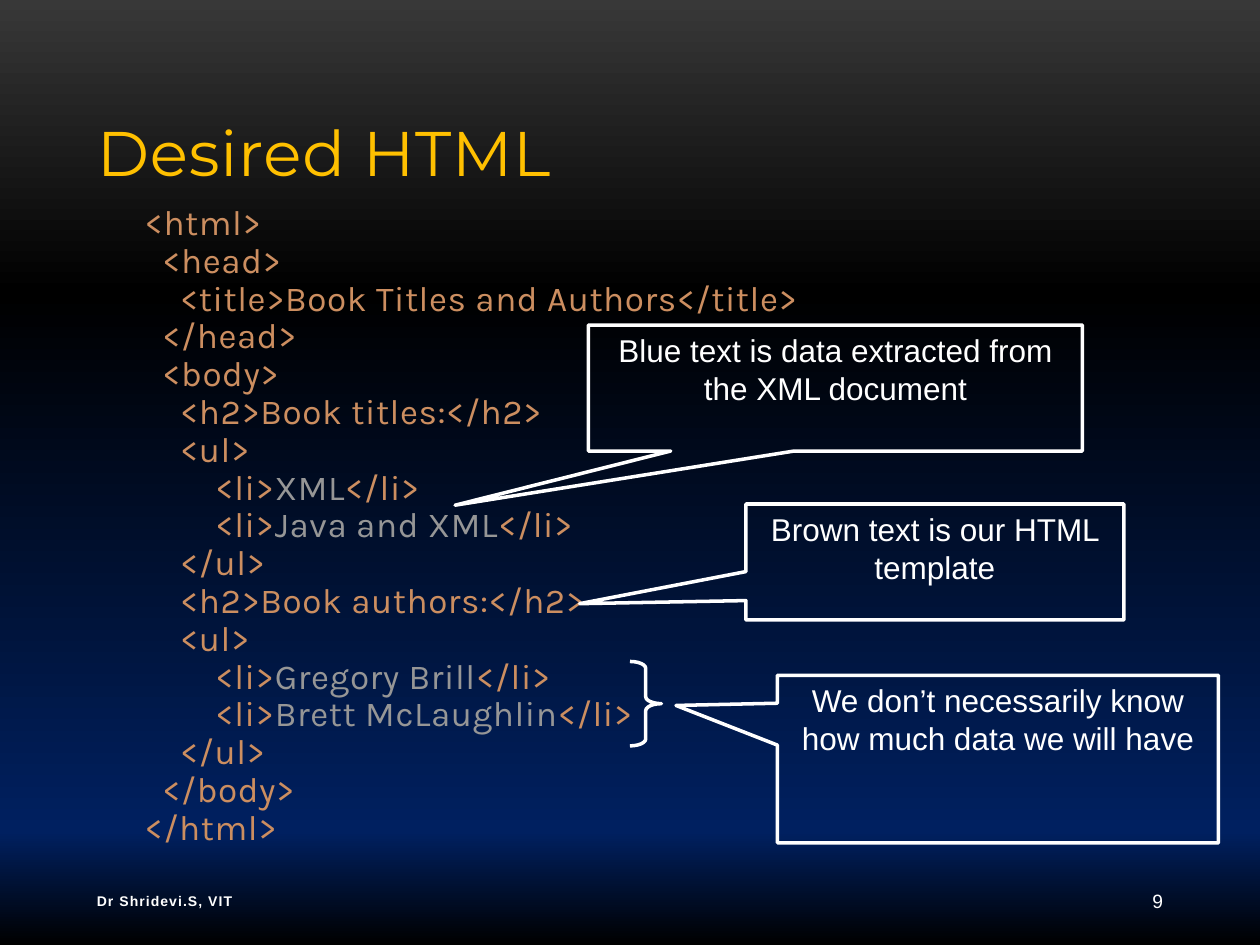
from lxml import etree
from pptx import Presentation
from pptx.dml.color import RGBColor
from pptx.enum.shapes import MSO_SHAPE
from pptx.enum.text import MSO_ANCHOR, MSO_AUTO_SIZE, PP_ALIGN
from pptx.oxml import parse_xml
from pptx.util import Inches, Pt

CALLOUT, BRACE = MSO_SHAPE.RECTANGULAR_CALLOUT, MSO_SHAPE.RIGHT_BRACE
TOP, MIDDLE, BOTTOM = MSO_ANCHOR.TOP, MSO_ANCHOR.MIDDLE, MSO_ANCHOR.BOTTOM
LEFT, CENTER, RIGHT = PP_ALIGN.LEFT, PP_ALIGN.CENTER, PP_ALIGN.RIGHT
NO_AUTOFIT = MSO_AUTO_SIZE.NONE
TITLE_ONLY = 5
DRAWING_NS = "http://schemas.openxmlformats.org/drawingml/2006/main"

COLORS = {
    "title": "FFC000",
    "template": "CC8E60",
    "data": "969696",
    "white": "FFFFFF",
}
BACKGROUND_STOPS = [(0, "383838"), (31, "000000"), (88, "002060"), (100, "000000")]

# Braces enclose the data taken from the XML document.
HTML_CODE = """<html>
  <head>
    <title>Book Titles and Authors</title>
  </head>
  <body>
    <h2>Book titles:</h2>
    <ul>
        <li>{XML}</li>
        <li>{Java and XML}</li>
    </ul>
    <h2>Book authors:</h2>
    <ul>
        <li>{Gregory Brill}</li>
        <li>{Brett McLaughlin}</li>
    </ul>
  </body>
</html>"""

CALLOUTS = [
    ("Blue text is data extracted from the XML document",
     (4.67, 2.58, 3.92, 1), (-0.77, 0.93)),
    ("Brown text is our HTML template",
     (5.92, 4, 3, 0.92), (-0.94, 0.36)),
    ("We don’t necessarily know how much data we will have",
     (6.17, 5.36, 3.5, 1.33), (-0.73, -0.32)),
]


class SlideBuilder:
    """Holds the text styles and the slide being filled."""

    styles = {
        "title": {"name": "Montserrat", "size": Pt(36), "bold": False},
        "code": {"name": "Karla", "size": Pt(20)},
        "callout": {"name": "Arial", "size": Pt(18)},
        "number": {"name": "Arial", "size": Pt(11)},
        "footer": {"name": "Arial", "size": Pt(8), "bold": True},
    }
    letter_spacing = {"title": 0.5, "code": 0.3, "footer": 0.6}

    def __init__(self, slide):
        self.slide = slide

    def background(self, stops):
        fill = self.slide.background.fill
        fill.gradient()
        fill.gradient_angle = 270
        stop_list = self.slide._element.find(f".//{{{DRAWING_NS}}}gsLst")
        for old_stop in list(stop_list):
            stop_list.remove(old_stop)
        for percent, color in stops:
            stop_list.append(parse_xml(
                f'<a:gs xmlns:a="{DRAWING_NS}" pos="{percent * 1000}">'
                f'<a:srgbClr val="{color}"/></a:gs>'))

    def run(self, paragraph, text, style, color):
        run = paragraph.add_run()
        run.text = text
        for attribute, value in self.styles[style].items():
            setattr(run.font, attribute, value)
        run.font.color.rgb = RGBColor.from_string(COLORS[color])
        if style in self.letter_spacing:
            spacing = round(self.letter_spacing[style] * 100)
            run._r.get_or_add_rPr().set("spc", str(spacing))

    def frame(self, shape, anchor, align):
        """Set up the shape's text frame and return its first paragraph."""
        layout = {"word_wrap": True, "auto_size": NO_AUTOFIT, "vertical_anchor": anchor}
        for attribute, value in layout.items():
            setattr(shape.text_frame, attribute, value)
        paragraph = shape.text_frame.paragraphs[0]
        paragraph.alignment = align
        return paragraph

    def title(self, text, box):
        title = self.slide.shapes.title
        for side, length in zip(("left", "top", "width", "height"), box):
            setattr(title, side, Inches(length))
        self.run(self.frame(title, BOTTOM, LEFT), text, "title", "title")

    def label(self, text, box, style, align):
        label = self.slide.shapes.add_textbox(*map(Inches, box))
        self.run(self.frame(label, MIDDLE, align), text, style, "white")

    def code(self, source, box):
        listing = self.slide.shapes.add_textbox(*map(Inches, box))
        paragraph = self.frame(listing, TOP, LEFT)
        paragraph.line_spacing = 0.9
        paragraph._p.get_or_add_pPr().set("marL", str(Inches(0.38)))
        for row, line in enumerate(source.split("\n")):
            if row:
                paragraph.add_line_break()
            for part, text in enumerate(line.replace("}", "{").split("{")):
                self.run(paragraph, text, "code", "data" if part % 2 else "template")

    def outline(self, kind, box, adjustments):
        """Add an unfilled preset shape with a white line."""
        shape = self.slide.shapes.add_shape(kind, *map(Inches, box))
        shape.shadow.inherit = False
        shape.fill.background()
        shape.line.color.rgb = RGBColor.from_string(COLORS["white"])
        shape.line.width = Pt(2)
        for index, value in enumerate(adjustments):
            shape.adjustments[index] = value
        return shape

    def callout(self, text, box, tip):
        shape = self.outline(CALLOUT, box, tip)
        self.run(self.frame(shape, TOP, CENTER), text, "callout", "white")


def main():
    presentation = Presentation()
    presentation.slide_width, presentation.slide_height = Inches(10), Inches(7.5)
    layout = presentation.slide_layouts[TITLE_ONLY]
    builder = SlideBuilder(presentation.slides.add_slide(layout))

    builder.background(BACKGROUND_STOPS)
    builder.title("Desired HTML", (0.67, 0.3, 8.67, 1.25))
    builder.code(HTML_CODE, (0.67, 1.58, 8.5, 5.42))
    for text, box, tip in CALLOUTS:
        builder.callout(text, box, tip)
    builder.outline(BRACE, (5, 5.25, 0.25, 0.67), (0.22, 0.5))
    builder.label("9", (8.25, 6.95, 1.08, 0.4), "number", RIGHT)
    builder.label("Dr Shridevi.S, VIT", (0.67, 6.95, 3.67, 0.4), "footer", LEFT)

    presentation.save("out.pptx")


if __name__ == "__main__":
    main()
